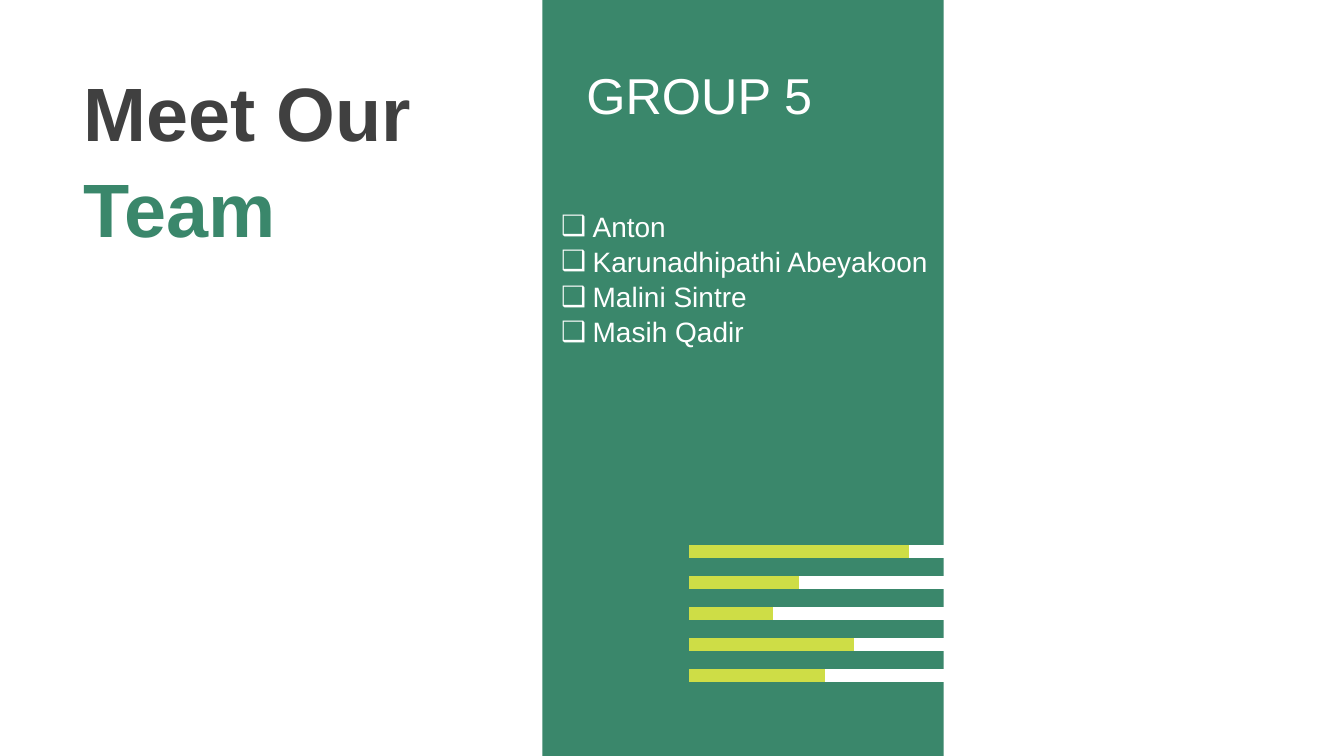
from lxml import etree
from pptx import Presentation
from pptx.chart.data import CategoryChartData
from pptx.dml.color import RGBColor
from pptx.enum import chart as charts, shapes, text
from pptx.oxml import parse_xml
from pptx.oxml.ns import nsdecls, qn
from pptx.util import Cm, Pt

# Content
TITLE = [("Meet Our ", "404040"), ("Team", "3A876B")]
HEADING = "GROUP 5"
MEMBERS = ["Anton", "Karunadhipathi Abeyakoon", "Malini Sintre", "Masih Qadir"]
CATEGORIES = ["1", "2", "3", "4", "5"]
SERIES = [
    ("Series 1", (62, 75, 38, 50, 100), "CEDD46"),
    ("Series 2", (62, 50, 88, 75, 25), "FFFFFF"),
]
PLOT = {"x": 0.245, "y": 0.083, "w": 0.718, "h": 0.834}

# Left, top, width, height in centimetres
PANEL_BOX = (13.67, 0, 10.11, 19.05)
CHART_BOX = (14.53, 13.13, 11.58, 4.67)
HEADING_BOX = (14.53, 1.42, 8.46, 1.8)
TITLE_BOX = (1.85, 1.43, 10.46, 4.88)
LIST_BOX = (13.89, 5.1, 10.11, 3.68)
BULLET_INDENT = Cm(0.79)
FONT = "Arial"
GREEN, WHITE = "3A876B", "FFFFFF"


def color(value):
    return RGBColor.from_string(value)


def lengths(box):
    return [Cm(value) for value in box]


def place(shape, box):
    shape.left, shape.top, shape.width, shape.height = lengths(box)


def setup_frame(shape):
    frame = shape.text_frame
    frame.word_wrap = True
    frame.auto_size = text.MSO_AUTO_SIZE.NONE
    frame.vertical_anchor = text.MSO_ANCHOR.TOP
    return frame


def format_paragraph(paragraph, size, value=None, bold=False):
    paragraph.alignment = text.PP_ALIGN.LEFT
    paragraph.line_spacing = 1.05
    paragraph.space_before = Pt(0)
    font = paragraph.font
    font.name, font.size, font.bold = FONT, Pt(size), bold
    if value:
        font.color.rgb = color(value)


def add_bullet(paragraph, character):
    properties = paragraph._p.get_or_add_pPr()
    properties.set("marL", str(BULLET_INDENT))
    properties.set("indent", str(-BULLET_INDENT))
    bullet = parse_xml(f'<a:buChar {nsdecls("a")} char="{character}"/>')
    properties.insert_element_before(bullet, "a:tabLst", "a:defRPr", "a:extLst")


presentation = Presentation()
presentation.slide_width, presentation.slide_height = Cm(33.87), Cm(19.05)
slide = presentation.slides.add_slide(presentation.slide_layouts[1])
title, member_list = slide.placeholders

# Green panel, behind everything else
panel = slide.shapes.add_shape(shapes.MSO_SHAPE.RECTANGLE, *lengths(PANEL_BOX))
panel.shadow.inherit = False
panel.fill.solid()
panel.fill.fore_color.rgb = color(GREEN)
panel.line.fill.background()
slide.shapes._spTree.insert(2, panel._element)

# Two-colour title
place(title, TITLE_BOX)
paragraph = setup_frame(title).paragraphs[0]
format_paragraph(paragraph, 54, bold=True)
for words, value in TITLE:
    run = paragraph.add_run()
    run.text = words
    run.font.color.rgb = color(value)

# Group heading
heading = slide.shapes.add_textbox(*lengths(HEADING_BOX))
paragraph = setup_frame(heading).paragraphs[0]
paragraph.text = HEADING
format_paragraph(paragraph, 36, WHITE)

# Member list
place(member_list, LIST_BOX)
frame = setup_frame(member_list)
frame.text = "\n".join(MEMBERS)
for paragraph in frame.paragraphs:
    format_paragraph(paragraph, 20, WHITE)
    add_bullet(paragraph, "❑")

# Stacked bars
data = CategoryChartData()
data.categories = CATEGORIES
for name, values, _ in SERIES:
    data.add_series(name, values)
chart = slide.shapes.add_chart(
    charts.XL_CHART_TYPE.BAR_STACKED, *lengths(CHART_BOX), data).chart
chart.has_legend = chart.has_title = False
chart.font.name, chart.font.size = FONT, Pt(18)
chart.font.color.rgb = color("000000")
chart.category_axis.visible = chart.value_axis.visible = False
chart.value_axis.has_major_gridlines = False
chart.value_axis.minimum_scale, chart.value_axis.maximum_scale = 0, 150
plot = chart.plots[0]
plot.gap_width, plot.overlap = 140, 100
plot.vary_by_categories = False
for series, (_, _, value) in zip(plot.series, SERIES):
    series.format.fill.solid()
    series.format.fill.fore_color.rgb = color(value)

# Fixed inner plot area
plot_area = chart._chartSpace.chart.plotArea
for old_layout in plot_area.findall(qn("c:layout")):
    plot_area.remove(old_layout)
layout = etree.Element(qn("c:layout"))
manual = etree.SubElement(layout, qn("c:manualLayout"))
settings = {"layoutTarget": "inner", "xMode": "edge", "yMode": "edge", **PLOT}
for tag, value in settings.items():
    etree.SubElement(manual, qn(f"c:{tag}")).set("val", str(value))
plot_area.insert(0, layout)

presentation.save("out.pptx")
